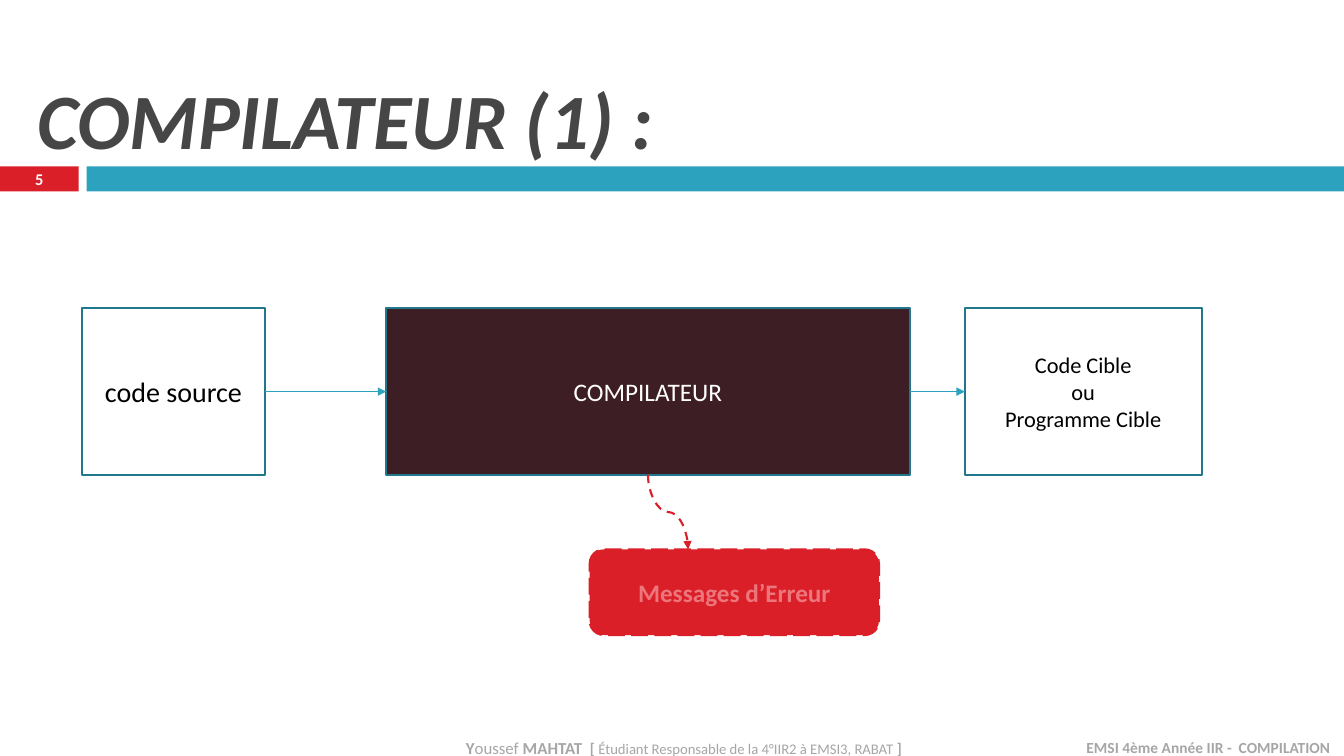
from dataclasses import dataclass

from lxml.etree import SubElement
from pptx import Presentation
from pptx.dml.color import RGBColor
from pptx.enum.dml import MSO_LINE_DASH_STYLE as Dash
from pptx.enum.shapes import MSO_CONNECTOR as Link, MSO_SHAPE as Shape
from pptx.enum.text import MSO_ANCHOR as Anchor, PP_ALIGN as Align
from pptx.oxml.ns import qn
from pptx.util import Inches, Pt


@dataclass(frozen=True)
class Theme:
    font: str = "Calibri"
    red: str = "DA1F28"
    blue: str = "2DA2BF"
    border: str = "21788D"
    plum: str = "3E1E25"
    pink: str = "EC767C"
    grey: str = "A6A6A6"
    charcoal: str = "464646"
    white: str = "FFFFFF"
    black: str = "000000"
    title_size: float = 56
    source_size: float = 20
    box_size: float = 18
    target_size: float = 16
    number_size: float = 11.7
    author_size: float = 12
    footer_size: float = 11
    role_size: float = 10.5
    border_width: float = 1.5
    arrow_width: float = 0.79


@dataclass(frozen=True)
class Box:
    left: float
    top: float
    width: float
    height: float

    def share(self, left, top, width, height):
        return Box(self.left + self.width * left / 100,
                   self.top + self.height * top / 100,
                   self.width * width / 100,
                   self.height * height / 100)

    def emu(self):
        return [round(length) for length in (self.left, self.top, self.width, self.height)]


THEME = Theme()


def color(name):
    return RGBColor.from_string(name)


def write(shape, paragraphs, ink, align=Align.CENTER, anchor=Anchor.MIDDLE):
    frame = shape.text_frame
    frame.word_wrap = True
    frame.vertical_anchor = anchor
    frame.margin_top = frame.margin_bottom = 0
    for index, runs in enumerate(paragraphs):
        para = frame.add_paragraph() if index else frame.paragraphs[0]
        para.alignment = align
        for text, size, bold, italic in runs:
            span = para.add_run()
            span.text = text
            font = span.font
            font.name, font.size = THEME.font, Pt(size)
            font.bold, font.italic = bold, italic
            font.color.rgb = color(ink)


def label(slide, box, runs, ink, align, anchor=Anchor.MIDDLE):
    write(slide.shapes.add_textbox(*box.emu()), [runs], ink, align, anchor)


def panel(slide, box, fill, border=None, kind=Shape.RECTANGLE):
    shape = slide.shapes.add_shape(kind, *box.emu())
    shape.shadow.inherit = False
    shape.fill.solid()
    shape.fill.fore_color.rgb = color(fill)
    if border:
        shape.line.color.rgb = color(border)
        shape.line.width = Pt(THEME.border_width)
    else:
        shape.line.fill.background()
    return shape


def arrow(slide, kind, points, ink, width):
    link = slide.shapes.add_connector(kind, *[round(point) for point in points])
    link.line.color.rgb = color(ink)
    link.line.width = Pt(width)
    properties = link._element.spPr
    SubElement(properties.find(qn("a:ln")), qn("a:tailEnd"), type="triangle")
    SubElement(properties, qn("a:effectLst"))
    return link


def join(slide, start, end):
    link = arrow(slide, Link.STRAIGHT, (0, 0, 0, 0), THEME.blue, THEME.arrow_width)
    link.begin_connect(start, 3)
    link.end_connect(end, 1)


def falling_curve(slide, x1, y1, x2, y2):
    middle_x, middle_y = (x1 + x2) / 2, (y1 + y2) / 2
    half_drop, half_shift = (y2 - y1) / 2, (x2 - x1) / 2
    turned = (middle_x + half_drop, middle_y - half_shift,
              middle_x - half_drop, middle_y + half_shift)
    link = arrow(slide, Link.CURVE, turned, THEME.red, THEME.border_width)
    link._element.spPr.find(qn("a:xfrm")).set("rot", str(270 * 60000))
    link.line.dash_style = Dash.DASH


def header(slide, box, title, number):
    number_box = box.share(0, 86.84, 5.85, 13.16)
    panel(slide, number_box, THEME.red)
    panel(slide, box.share(6.45, 86.84, 93.55, 13.16), THEME.blue)
    label(slide, box.share(2.03, 8.95, 97.05, 77.37),
          [(title, THEME.title_size, True, True)],
          THEME.charcoal, Align.LEFT, Anchor.BOTTOM)
    label(slide, number_box, [(number, THEME.number_size, True, False)],
          THEME.white, Align.CENTER)


def compiler_flow(slide, box):
    stages = [
        (0, 16.38, THEME.white, THEME.black, THEME.source_size, ["code source"]),
        (27.18, 46.76, THEME.plum, THEME.white, THEME.box_size, ["COMPILATEUR"]),
        (78.85, 21.15, THEME.white, THEME.black, THEME.target_size,
         ["Code Cible", "ou", "Programme Cible"]),
    ]
    shapes = []
    for left, width, fill, ink, size, lines in stages:
        shape = panel(slide, box.share(left, 0, width, 50.93), fill, THEME.border)
        write(shape, [[(line, size, False, False)] for line in lines], ink)
        shapes.append(shape)
    for start, end in zip(shapes, shapes[1:]):
        join(slide, start, end)

    error_box = box.share(45.36, 73.77, 25.83, 26.23)
    compiler = shapes[1]
    falling_curve(slide, compiler.left + compiler.width / 2,
                  compiler.top + compiler.height,
                  error_box.left + error_box.width * 0.34, error_box.top)
    error = panel(slide, error_box, THEME.red, THEME.red, Shape.ROUNDED_RECTANGLE)
    error.line.dash_style = Dash.LONG_DASH
    write(error, [[("Messages d’Erreur", THEME.box_size, True, False)]], THEME.pink)


def footer(slide, box):
    author = [
        ("Y", THEME.author_size, True, False),
        ("oussef ", THEME.author_size, False, False),
        ("MAHTAT  ", THEME.author_size, True, False),
        ("[ ", THEME.footer_size, True, False),
        ("Étudiant Responsable de la 4°IIR2 à EMSI3, RABAT ", THEME.role_size, False, False),
        ("] ", THEME.footer_size, True, False),
    ]
    course = [("EMSI 4ème Année IIR -  COMPILATION ", THEME.footer_size, True, False)]
    label(slide, box.share(10.8, 0, 57.3, 100), author, THEME.grey, Align.RIGHT)
    label(slide, box.share(74.8, 0, 25.2, 100), course, THEME.grey, Align.RIGHT)


def main():
    deck = Presentation()
    deck.slide_width, deck.slide_height = Inches(13.33), Inches(7.5)
    slide = deck.slides.add_slide(deck.slide_layouts[6])
    slide.background.fill.solid()
    slide.background.fill.fore_color.rgb = color(THEME.white)
    page = Box(0, 0, deck.slide_width, deck.slide_height)
    header(slide, page.share(0, 0, 100, 25.33), "COMPILATEUR (1) :", "5")
    compiler_flow(slide, page.share(6.08, 40.8, 83.33, 43.2))
    footer(slide, page.share(0, 97.73, 100, 2.27))
    deck.save("out.pptx")


if __name__ == "__main__":
    main()
